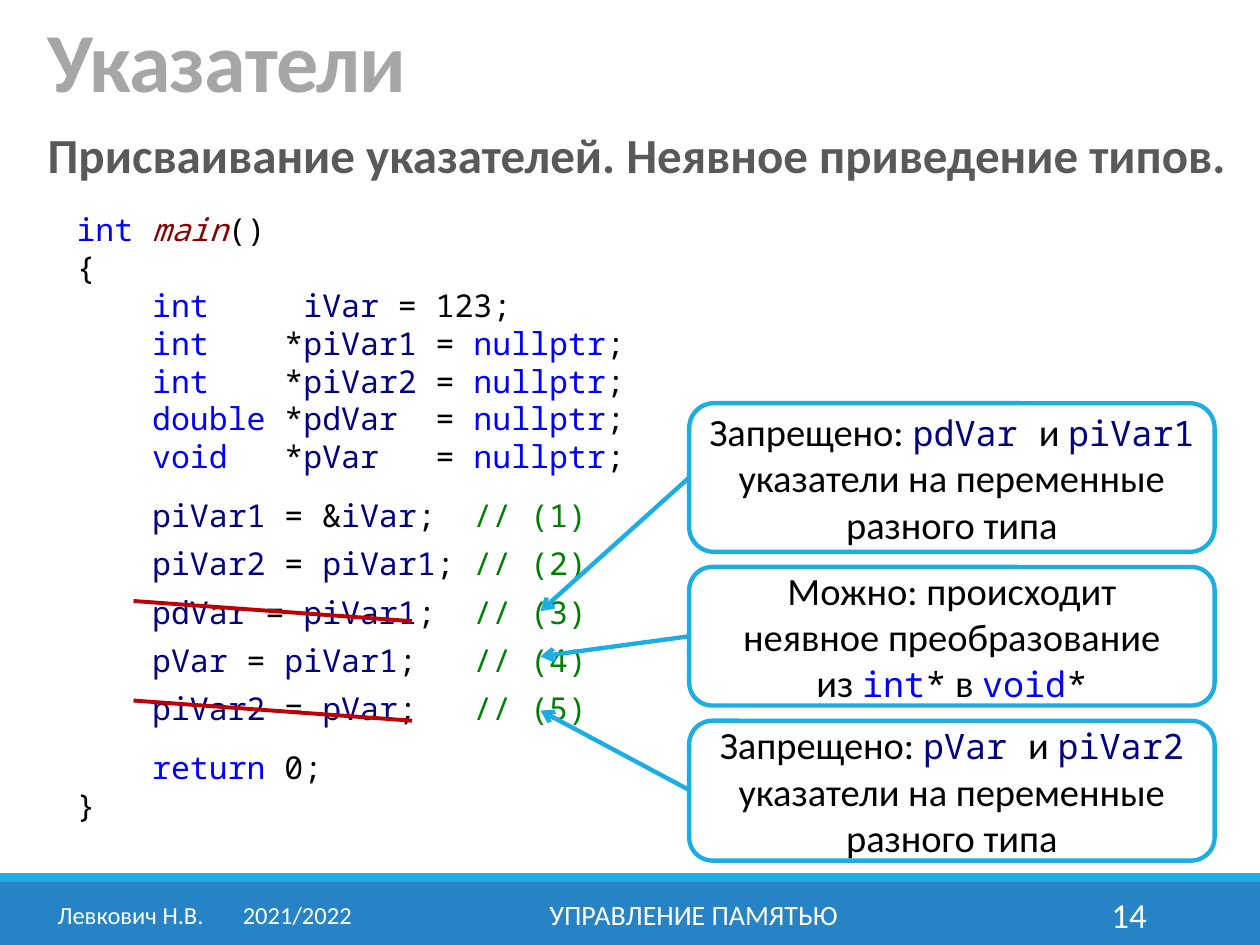
from dataclasses import dataclass
from itertools import groupby

from lxml import etree
from pptx import Presentation
from pptx import util as u
from pptx.dml.color import RGBColor
from pptx.enum import shapes, text
from pptx.oxml.ns import qn

EMU_PER_PX = 9144  # 100 px to the inch
SANS, MONO = "Calibri", "Noto Sans Mono"
BLACK, WHITE = "000000", "FFFFFF"
KEYWORD, VARIABLE, FUNCTION, COMMENT = "0000FF", "000080", "880000", "008000"
SKY, BLUE, RED = "1CADE4", "2683C6", "C00000"
LEFT, CENTER, RIGHT = text.PP_ALIGN.LEFT, text.PP_ALIGN.CENTER, text.PP_ALIGN.RIGHT
TOP, MIDDLE, BOTTOM = text.MSO_ANCHOR.TOP, text.MSO_ANCHOR.MIDDLE, text.MSO_ANCHOR.BOTTOM

WORD_COLORS = {
    **dict.fromkeys(("int", "double", "void", "nullptr", "return"), KEYWORD),
    **dict.fromkeys(("iVar", "piVar1", "piVar2", "pdVar", "pVar"), VARIABLE),
    "main": FUNCTION,
}


@dataclass(frozen=True)
class Span:
    words: str
    size: int = 22
    font: str = SANS
    color: str = BLACK
    bold: bool = False
    italic: bool = False
    tracking: int = 0


@dataclass(frozen=True)
class CodeLine:
    source: str
    before: int = 0


@dataclass(frozen=True)
class Callout:
    top: int
    height: int
    target_y: int
    spans: list[Span]


def px(length: int) -> u.Emu:
    return u.Emu(length * EMU_PER_PX)


def rgb(color: str) -> RGBColor:
    return RGBColor.from_string(color)


def add_spans(para, spans: list[Span]) -> None:
    for span in spans:
        for number, part in enumerate(span.words.split("\n")):
            if number:
                para.add_line_break()
            run = para.add_run()
            run.text = part
            run.font.size, run.font.name = u.Pt(span.size), span.font
            run.font.bold, run.font.italic = span.bold, span.italic
            run.font.color.rgb = rgb(span.color)
            if span.tracking:
                run.font._element.set("spc", str(span.tracking))


def add_text(page, left: int, top: int, width: int, height: int, words: str, *,
             align=LEFT, anchor=MIDDLE, spacing: float = 1.0, **style):
    box = page.shapes.add_textbox(px(left), px(top), px(width), px(height))
    frame = box.text_frame
    frame.word_wrap, frame.vertical_anchor = True, anchor
    para = frame.paragraphs[0]
    para.alignment, para.line_spacing = align, spacing
    add_spans(para, [Span(words, **style)])
    return para


def add_tab_stop(para, position: int) -> None:
    stops = etree.SubElement(para._p.get_or_add_pPr(), qn("a:tabLst"))
    etree.SubElement(stops, qn("a:tab"), pos=str(px(position)), algn="l")


def add_band(page, top: int, height: int, color: str) -> None:
    band = page.shapes.add_shape(shapes.MSO_SHAPE.RECTANGLE, 0, px(top), px(1000), px(height))
    band.shadow.inherit = False
    band.fill.solid()
    band.fill.fore_color.rgb = rgb(color)
    band.line.fill.background()


def add_line(parent, start: tuple[int, int], end: tuple[int, int], color: str,
             weight: float, arrow: bool = False) -> None:
    line = parent.shapes.add_connector(
        shapes.MSO_CONNECTOR.STRAIGHT, *map(px, start + end))
    line.line.color.rgb, line.line.width = rgb(color), u.Pt(weight)
    if arrow:
        etree.SubElement(line.line._get_or_add_ln(), qn("a:tailEnd"), type="arrow")
    etree.SubElement(line._element.spPr, qn("a:effectLst"))


def add_callout(page, callout: Callout) -> None:
    left, width, target_x = 547, 417, 429
    group = page.shapes.add_group_shape()
    box = group.shapes.add_shape(shapes.MSO_SHAPE.ROUNDED_RECTANGLE, px(left),
                                 px(callout.top), px(width), px(callout.height))
    box.shadow.inherit = False
    box.fill.background()
    box.line.color.rgb, box.line.width = rgb(SKY), u.Pt(2.5)
    frame = box.text_frame
    frame.word_wrap, frame.vertical_anchor = True, MIDDLE
    frame.paragraphs[0].alignment = CENTER
    add_spans(frame.paragraphs[0], callout.spans)
    middle = callout.top + callout.height // 2
    add_line(group, (left, middle), (target_x, callout.target_y), SKY, 2.5, arrow=True)


def highlight(source: str) -> list[Span]:
    """Split a line of code into coloured spans."""
    code, slashes, remark = source.partition("//")
    words = ["".join(chars) for _, chars in groupby(code, str.isalnum)]
    spans = [Span(word, 18, MONO, WORD_COLORS.get(word, BLACK), italic=word == "main")
             for word in words]
    return spans + ([Span(slashes + remark, 18, MONO, COMMENT)] if slashes else [])


def add_code(page, lines: list[CodeLine]) -> None:
    box = page.shapes.add_textbox(px(51), px(162), px(567), px(502))
    frame = box.text_frame
    frame.word_wrap, frame.vertical_anchor = True, TOP
    for number, line in enumerate(lines):
        para = frame.add_paragraph() if number else frame.paragraphs[0]
        para.space_before = u.Pt(line.before)
        add_spans(para, highlight(line.source))


def code_word(words: str, color: str = VARIABLE) -> Span:
    return Span(words, 20, MONO, color)


def forbidden(first: str, second: str) -> list[Span]:
    return [Span("Запрещено: "), code_word(first + " "), Span("и "),
            code_word(second + " "), Span("указатели на переменные разного типа")]


CODE = [
    CodeLine("int main()"),
    CodeLine("{"),
    CodeLine("    int     iVar = 123;"),
    CodeLine("    int    *piVar1 = nullptr;"),
    CodeLine("    int    *piVar2 = nullptr;"),
    CodeLine("    double *pdVar  = nullptr;"),
    CodeLine("    void   *pVar   = nullptr;"),
    CodeLine("    piVar1 = &iVar;  // (1)", 12),
    CodeLine("    piVar2 = piVar1; // (2)", 6),
    CodeLine("    pdVar = piVar1;  // (3)", 6),
    CodeLine("    pVar = piVar1;   // (4)", 6),
    CodeLine("    piVar2 = pVar;   // (5)", 6),
    CodeLine("    return 0;", 12),
    CodeLine("}"),
]
CALLOUTS = [
    Callout(572, 111, 564, forbidden("pVar", "piVar2")),
    Callout(450, 110, 521, [
        Span("Можно: происходит\nнеявное преобразование\nиз "),
        code_word("int", KEYWORD), code_word("*", BLACK), Span(" в "),
        code_word("void", KEYWORD), code_word("*", BLACK)]),
    Callout(320, 118, 485, forbidden("pdVar", "piVar1")),
]


def main() -> None:
    deck = Presentation()
    deck.slide_width, deck.slide_height = px(1000), px(750)
    page = deck.slides.add_slide(deck.slide_layouts[6])

    add_band(page, 700, 50, BLUE)
    add_band(page, 693, 7, SKY)
    add_code(page, CODE)
    add_text(page, 28, 0, 825, 92, "Указатели", anchor=BOTTOM, spacing=0.85,
             size=48, color="A6A6A6", bold=True, tracking=-50)
    add_text(page, 812, 706, 108, 40, "14", align=RIGHT, size=20, color=WHITE)
    add_text(page, 28, 99, 972, 53, "Присваивание указателей. Неявное приведение типов.",
             anchor=TOP, spacing=0.9, size=28, color="595959", bold=True)
    for callout in CALLOUTS:
        add_callout(page, callout)
    for top in (477, 556):
        add_line(page, (106, top), (327, top + 16), RED, 2.25)
    author = add_text(page, 32, 706, 261, 40, "Левкович Н.В.\t2021/2022",
                      align=CENTER, size=14, color=WHITE)
    add_tab_stop(author, 147)
    add_text(page, 302, 706, 497, 40, "УПРАВЛЕНИЕ ПАМЯТЬЮ",
             align=CENTER, size=16, color=WHITE)
    deck.save("out.pptx")


if __name__ == "__main__":
    main()
